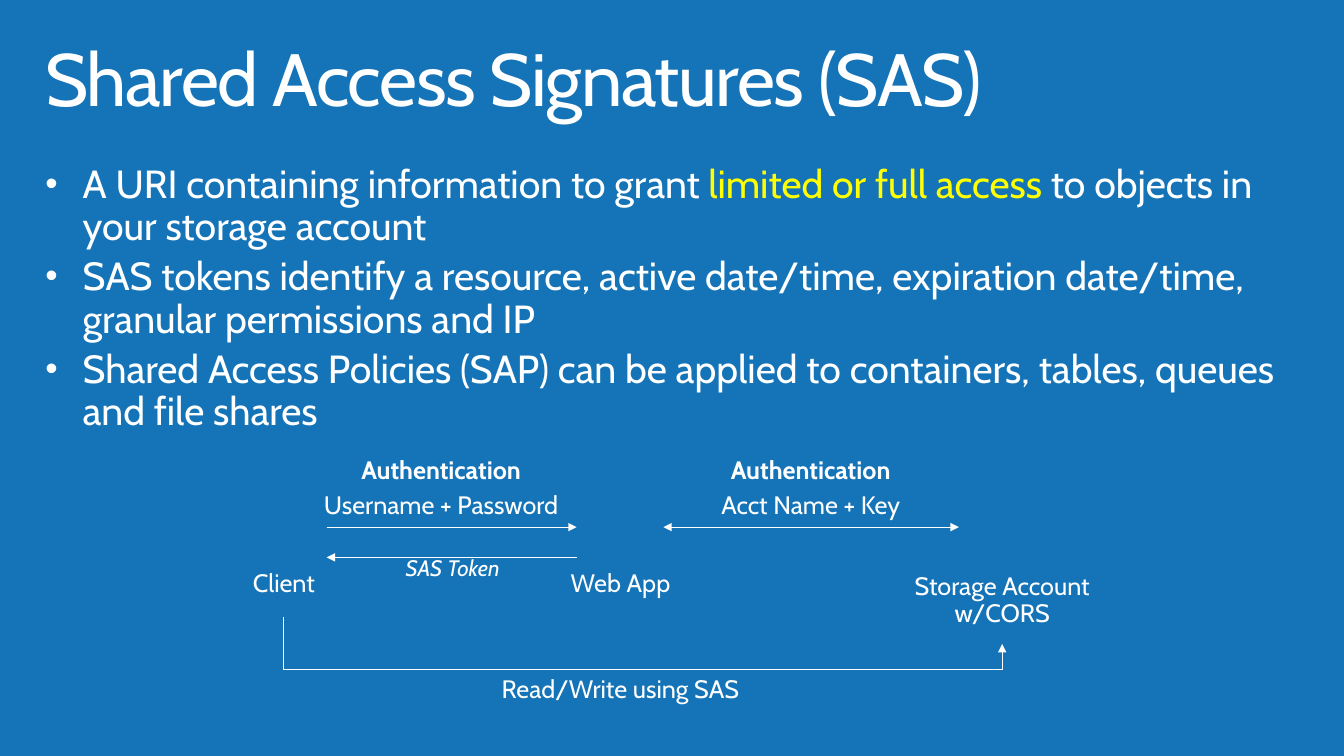
from pptx import Presentation
from pptx import util as u
from pptx.dml.color import RGBColor
from pptx.enum import shapes, text
from pptx.oxml.ns import qn
from lxml import etree

WHITE, YELLOW, BLUE = "FFFFFF", "FFFF00", "1574B8"
FONT = "Cabin"

TITLE = "Shared Access Signatures (SAS)"
POINTS = [
    [("A URI containing information to grant ", WHITE),
     ("limited or full access ", YELLOW),
     ("to objects in your storage account", WHITE)],
    [("SAS tokens identify a resource, active date/time, expiration date/time, "
      "granular permissions and IP", WHITE)],
    [("Shared Access Policies (SAP) can be applied to containers, tables, "
      "queues and file shares", WHITE)],
]

# Shares of the slide in percent
LEFT, WIDE = 2.18, 94.67
CLIENT, APP, STORE = 21.12, 46.17, 74.57
NODES, ABOVE, SEND, REPLY = 73.73, 58.4, 69.73, 73.73

# Lines, middle, top, width, height, size, style
LABELS = [
    (["Storage Account w/CORS"], STORE, NODES, 18.9, 11.6, 18, ""),
    (["Web App"], APP, NODES, 12.08, 8, 18, ""),
    (["Client"], CLIENT, NODES, 12.08, 8, 18, ""),
    (["Authentication", "Acct Name + Key"], 60.32, ABOVE, 19.2, 12.67, 18, "head"),
    (["Authentication", "Username + Password"], 32.82, ABOVE, 21.83, 12.67, 18, "head"),
    (["SAS Token"], 33.68, 72.13, 11.4, 7.6, 16, "italic"),
    (["Read/Write using SAS"], APP, 87.73, 25.73, 8, 18, ""),
]
ARROWS = [
    (24.31, 42.91, SEND, ["tailEnd"]),
    (49.36, 71.34, SEND, ["headEnd", "tailEnd"]),
    (42.91, 24.31, REPLY, ["tailEnd"]),
]
ROUTE = [(CLIENT, 81.6), (CLIENT, 88.53), (STORE, 88.53), (STORE, 85.2)]

deck = Presentation()
deck.slide_width, deck.slide_height = u.Inches(13.33), u.Inches(7.5)
slide = deck.slides.add_slide(deck.slide_layouts[6])


def paint(code):
    return RGBColor.from_string(code)


def across(share):
    return round(deck.slide_width * share / 100)


def down(share):
    return round(deck.slide_height * share / 100)


def add_box(left, top, width, height, side, edge):
    box = slide.shapes.add_textbox(across(left), down(top), across(width), down(height))
    frame = box.text_frame
    frame.word_wrap = True
    frame.margin_left = frame.margin_right = u.Inches(side)
    frame.margin_top = frame.margin_bottom = u.Inches(edge)
    return frame


def style(run, size, code=WHITE):
    run.font.name, run.font.size = FONT, u.Pt(size)
    run.font.color.rgb = paint(code)


def stroke(line, ends):
    line.color.rgb = paint(WHITE)
    line.width = u.Pt(0.75)
    pen = line._get_or_add_ln()
    for end in ends:
        etree.SubElement(pen, qn("a:" + end), type="triangle")


def add_title():
    para = add_box(LEFT, 4.27, WIDE, 13.07, 0.16, 0.1).paragraphs[0]
    para.text, para.line_spacing = TITLE, 0.9
    style(para.runs[0], 52.9)
    para.runs[0].font._element.set("spc", "-100")


def add_points():
    frame = add_box(LEFT, 20.4, WIDE, 64.93, 0.16, 0.1)
    for row, parts in enumerate(POINTS):
        para = frame.add_paragraph() if row else frame.paragraphs[0]
        props = para._p.get_or_add_pPr()
        props.set("marL", str(u.Inches(0.37)))
        props.set("indent", str(-u.Inches(0.37)))
        etree.SubElement(props, qn("a:buSzPct"), val="90000")
        etree.SubElement(props, qn("a:buFont"), typeface="Arial")
        etree.SubElement(props, qn("a:buChar"), char="•")
        para.line_spacing = 0.9
        if row:
            para.space_before = u.Pt(5.6)
        for words, code in parts:
            run = para.add_run()
            run.text = words
            style(run, 28, code)


def add_label(lines, middle, top, width, height, size, kind):
    frame = add_box(middle - width / 2, top, width, height, 0.2, 0.16)
    frame.text = "\n".join(lines)
    for row, para in enumerate(frame.paragraphs):
        para.alignment = text.PP_ALIGN.CENTER
        para.line_spacing, para.space_after = 0.9, u.Pt(6)
        run = para.runs[0]
        style(run, size)
        run.font.bold = kind == "head" and row == 0
        run.font.italic = kind == "italic"


def add_arrow(start, stop, level, ends):
    link = slide.shapes.add_connector(
        shapes.MSO_CONNECTOR.STRAIGHT, across(start), down(level), across(stop), down(level))
    stroke(link.line, ends)
    etree.SubElement(link._element.spPr, qn("a:effectLst"))


def add_route():
    spots = [(across(x), down(y)) for x, y in ROUTE]
    path = slide.shapes.build_freeform(*spots[0])
    path.add_line_segments(spots[1:], close=False)
    route = path.convert_to_shape()
    route.fill.background()
    stroke(route.line, ["tailEnd"])
    route.shadow.inherit = False


slide.background.fill.solid()
slide.background.fill.fore_color.rgb = paint(BLUE)
add_title()
add_points()
for label in LABELS:
    add_label(*label)
for arrow in ARROWS:
    add_arrow(*arrow)
add_route()
deck.save("out.pptx")
